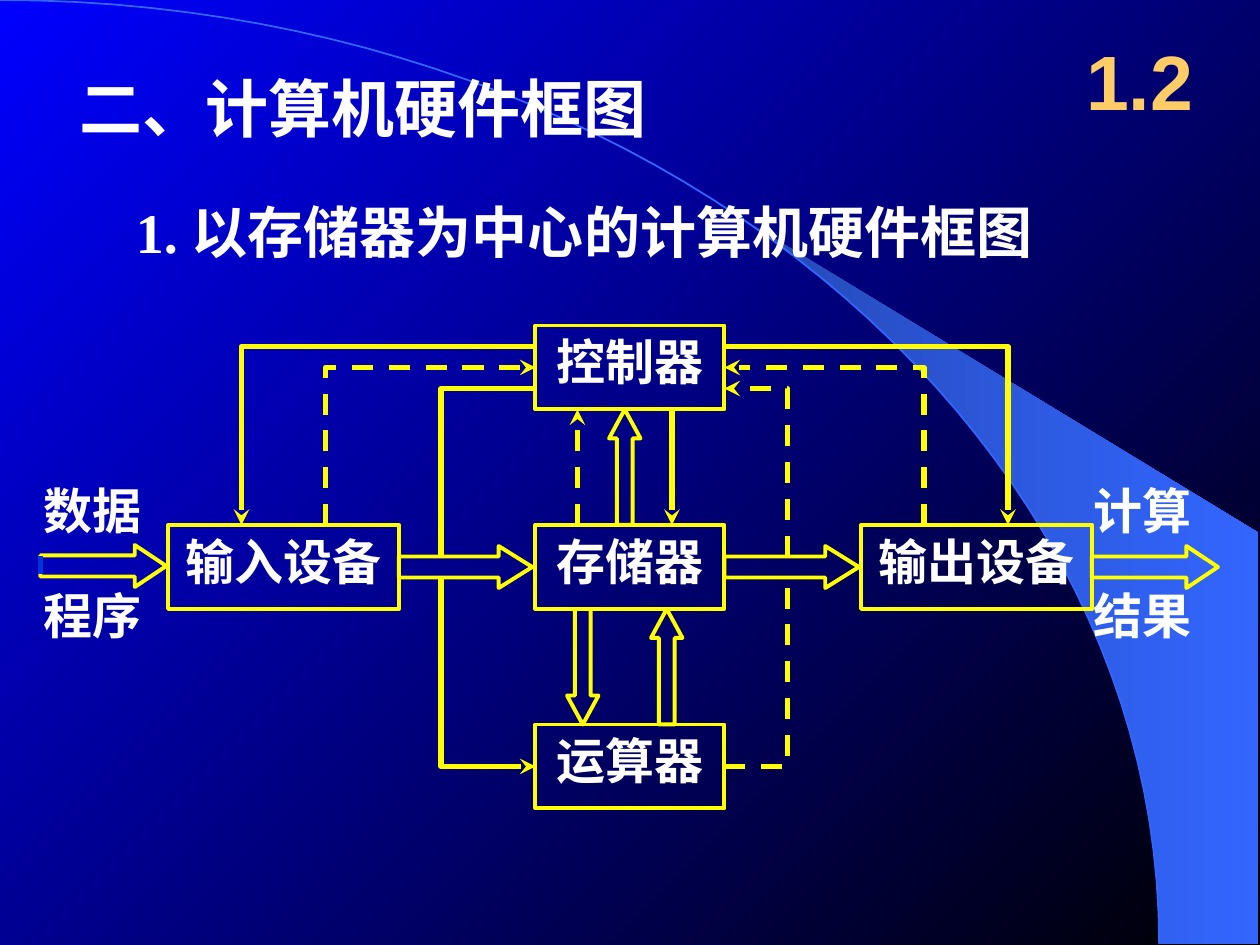
from collections import namedtuple

from lxml import etree
from pptx import Presentation, util as u
from pptx.dml.color import RGBColor
from pptx.enum import dml, shapes, text
from pptx.oxml.ns import qn

WHITE = RGBColor(0xFF, 0xFF, 0xFF)
YELLOW = RGBColor(0xFF, 0xFF, 0x00)
AMBER = RGBColor(0xFF, 0xCC, 0x66)
BLUE = RGBColor(0x00, 0x00, 0xFF)
BLACK = RGBColor(0x00, 0x00, 0x00)
BAND_DARK = RGBColor(0x24, 0x49, 0xB6)
BAND_LIGHT = RGBColor(0x33, 0x66, 0xFF)
MARK_BLUE = RGBColor(0x00, 0x33, 0xD8)
CJK = "Noto Sans CJK SC"
CELL = u.Inches(1) / 12

Box = namedtuple("Box", "left top width height")


def grid(area, col, row, cols=0, rows=0):
    return Box(int(area.left + col * CELL), int(area.top + row * CELL),
               int(cols * CELL), int(rows * CELL))


def share(area, left, top, width, height):
    return Box(int(area.left + left * area.width), int(area.top + top * area.height),
               int(width * area.width), int(height * area.height))


def place(shape, box):
    shape.left, shape.top, shape.width, shape.height = box


def write(shape, words, size=28, font=CJK, color=WHITE, align=text.PP_ALIGN.LEFT,
          anchor=text.MSO_ANCHOR.TOP, wrap=True):
    frame = shape.text_frame
    frame.word_wrap = wrap
    frame.auto_size = text.MSO_AUTO_SIZE.NONE
    frame.vertical_anchor = anchor
    frame.text = words
    paragraph = frame.paragraphs[0]
    paragraph.alignment = align
    run = paragraph.runs[0]
    run.font.size, run.font.bold, run.font.name = u.Pt(size), True, font
    run.font.color.rgb = color
    east_asian = etree.SubElement(run.font._element, qn("a:ea"))
    east_asian.set("typeface", CJK)


def outline(shape, color, weight, dashed=False, head=False):
    shape.line.color.rgb = color
    shape.line.width = u.Pt(weight)
    if dashed:
        shape.line.dash_style = dml.MSO_LINE.DASH
    if head:
        tail = etree.SubElement(shape.line._get_or_add_ln(), qn("a:tailEnd"))
        tail.set("type", "stealth")


def polygon(slide, points, close=False):
    builder = slide.shapes.build_freeform(*points[0])
    builder.add_line_segments(points[1:], close=close)
    shape = builder.convert_to_shape()
    shape.shadow.inherit = False
    return shape


def gradient(fill, colors, angle):
    fill.gradient()
    fill.gradient_angle = angle
    for stop, color in zip(fill.gradient_stops, colors):
        stop.color.rgb = color


def arc_point(area, t):
    controls = [(0, 0), (0.508, 0), (0.92, 0.447), (0.92, 0.999)]
    weights = [(1 - t) ** 3, 3 * t * (1 - t) ** 2, 3 * t * t * (1 - t), t ** 3]
    x, y = (sum(w * c[axis] for w, c in zip(weights, controls)) for axis in (0, 1))
    return area.left + x * area.width, area.top + y * area.height


def backdrop(slide, area):
    gradient(slide.background.fill, (BLUE, BLACK), 315)
    arc = [arc_point(area, step / 50) for step in range(51)]
    right = area.left + 0.999 * area.width
    corners = [(right, arc[-1][1]), (right, area.top + 0.564 * area.height)]
    band = polygon(slide, arc[22:] + corners, close=True)
    gradient(band.fill, (BAND_DARK, BAND_LIGHT), 0)
    band.line.fill.background()
    curve = polygon(slide, arc)
    curve.fill.background()
    outline(curve, BAND_LIGHT, 1)


def headings(slide, area):
    title = slide.shapes.title
    place(title, share(area, 0.053, 0.067, 0.705, 0.093))
    write(title, "二、计算机硬件框图", size=36)
    title.element.getparent().append(title.element)
    section = slide.shapes.add_textbox(*share(area, 0.842, 0.023, 0.125, 0.123))
    write(section, "1.2", size=44, font="Arial", color=AMBER,
          align=text.PP_ALIGN.CENTER, anchor=text.MSO_ANCHOR.MIDDLE)
    subtitle = slide.shapes.add_textbox(*share(area, 0.098, 0.203, 0.734, 0.084))
    write(subtitle, "1. 以存储器为中心的计算机硬件框图", size=32, font="Times New Roman")


def preset(slide, kind, box, weight):
    shape = slide.shapes.add_shape(kind, *box)
    shape.shadow.inherit = False
    shape.fill.background()
    outline(shape, YELLOW, weight)
    return shape


def line(slide, area, start, end, color=YELLOW, **style):
    a, b = grid(area, *start), grid(area, *end)
    connector = slide.shapes.add_connector(
        shapes.MSO_CONNECTOR.STRAIGHT, a.left, a.top, b.left, b.top)
    outline(connector, color, 3, **style)
    etree.SubElement(connector._element.spPr, qn("a:effectLst"))


def units(slide, area):
    for name, col, row, cols in [
        ("控制器", 48, 0, 18), ("存储器", 48, 19, 18), ("运算器", 48, 38, 18),
        ("输入设备", 13, 19, 22), ("输出设备", 79, 19, 22),
    ]:
        unit = preset(slide, shapes.MSO_SHAPE.RECTANGLE, grid(area, col, row, cols, 8), 2.25)
        write(unit, name, align=text.PP_ALIGN.CENTER)
    for words, col, row in [("数据", 0, 14.2), ("程序", 0, 24.2),
                            ("计算", 100, 14.2), ("结果", 100, 24.2)]:
        label = slide.shapes.add_textbox(*grid(area, col, row, 11.8, 6.8))
        write(label, words, wrap=False)


def data_flow(slide, area):
    across, up = shapes.MSO_SHAPE.RIGHT_ARROW, shapes.MSO_SHAPE.UP_ARROW
    for kind, col, row, cols, rows, tip, turn in [
        (across, 0.84, 20.9, 12, 4, 0.75, 0), (across, 35, 21, 12.7, 4, 0.8, 0),
        (across, 66, 21, 12.8, 4, 0.8, 0), (across, 101, 21, 12, 4, 0.75, 0),
        (up, 55, 8, 3, 11, 0.92, 0), (up, 59, 27, 3, 11, 0.92, 0),
        (up, 51, 27, 3, 11, 0.92, 180),
    ]:
        arrow = preset(slide, kind, grid(area, col, row, cols, rows), 2.25)
        arrow.adjustments[0], arrow.adjustments[1] = 0.5, tip
        arrow.rotation = turn
    line(slide, area, (0.84, 22), (0.84, 23.7), color=MARK_BLUE)


def control_flow(slide, area):
    for stops, dashed, head in [
        ([(39, 22), (39, 6), (48, 6)], False, False),
        ([(39, 24), (39, 42), (48, 42)], False, True),
        ([(66, 42), (72, 42), (72, 24)], True, False),
        ([(72, 22), (72, 6), (66, 6)], True, True),
        ([(28, 19), (28, 4), (48, 4)], True, True),
        ([(48, 2), (20, 2), (20, 19)], False, True),
        ([(85, 19), (85, 4), (66, 4)], True, True),
        ([(66, 2), (93, 2), (93, 19)], False, True),
    ]:
        route = polygon(slide, [grid(area, *stop)[:2] for stop in stops])
        route.fill.background()
        outline(route, YELLOW, 3, dashed, head)
    line(slide, area, (52, 19), (52, 8), dashed=True, head=True)
    line(slide, area, (61, 8), (61, 19), head=True)


def main():
    deck = Presentation()
    deck.slide_width, deck.slide_height = u.Inches(10), u.Inches(7.5)
    slide = deck.slides.add_slide(deck.slide_layouts[5])
    page = Box(0, 0, deck.slide_width, deck.slide_height)
    diagram = grid(page, 3, 31, 113, 46)
    backdrop(slide, page)
    headings(slide, page)
    units(slide, diagram)
    control_flow(slide, diagram)
    data_flow(slide, diagram)
    deck.save("out.pptx")


if __name__ == "__main__":
    main()
